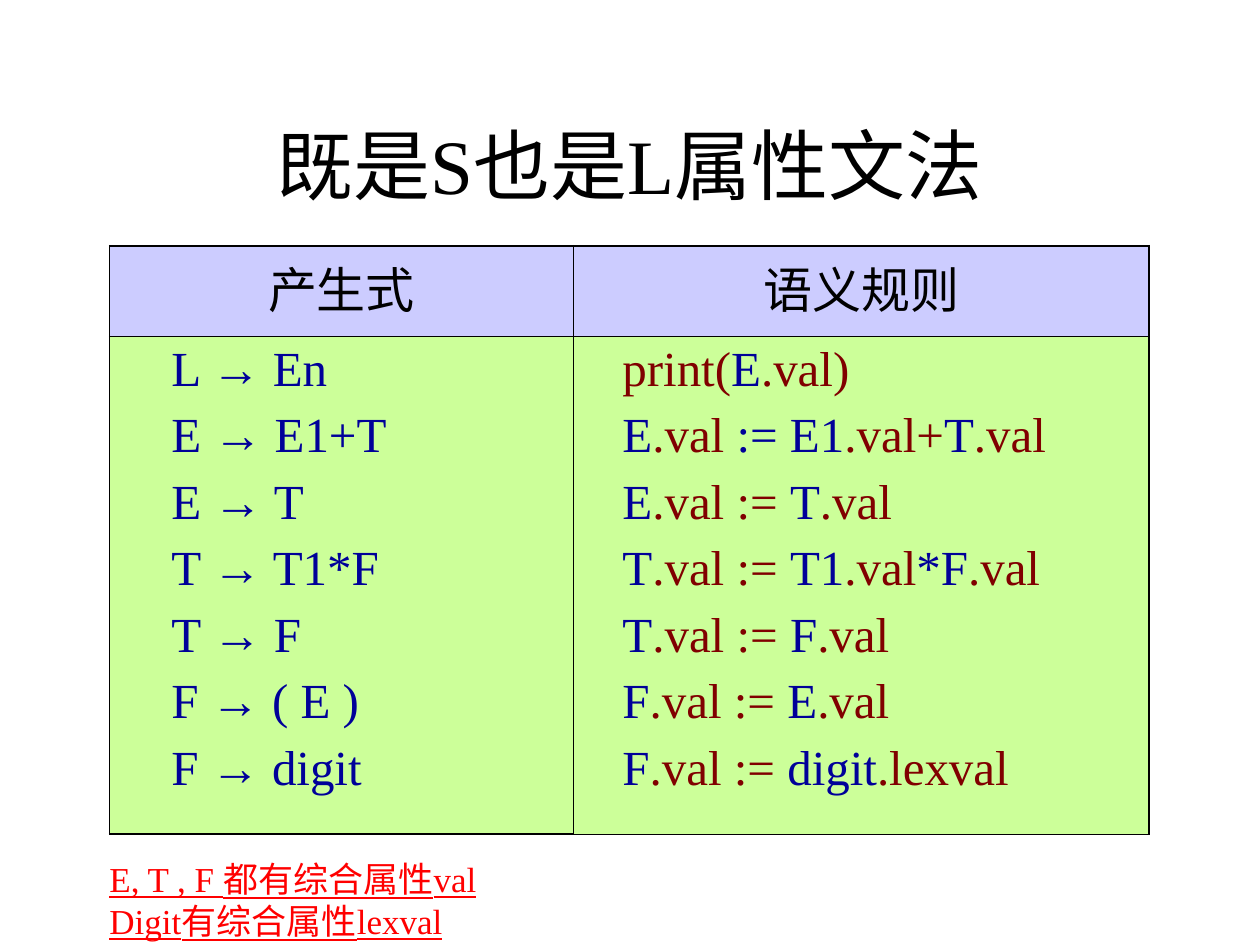
from lxml import etree
from pptx import Presentation
from pptx.dml.color import RGBColor
from pptx.enum.text import MSO_ANCHOR, PP_ALIGN
from pptx.oxml.ns import qn
from pptx.util import Inches, Pt

COLORS = {
    "black": "000000",
    "symbol": "000099",
    "attribute": "800000",
    "note": "FF0000",
    "header_fill": "CCCCFF",
    "body_fill": "CCFF99",
}
FONT = "Times New Roman"

TITLE = "既是S也是L属性文法"
HEADERS = ["产生式", "语义规则"]
PRODUCTIONS = ["L → En", "E → E1+T", "E → T", "T → T1*F", "T → F", "F → ( E )", "F → digit"]
RULES = [
    [("print(", "attribute"), ("E", "symbol"), (".val)", "attribute")],
    [("E", "symbol"), (".val ", "attribute"), (":= E1", "symbol"),
     (".val+", "attribute"), ("T", "symbol"), (".val", "attribute")],
    [("E", "symbol"), (".val := ", "attribute"), ("T", "symbol"), (".val", "attribute")],
    [("T", "symbol"), (".val := ", "attribute"), ("T1", "symbol"),
     (".val", "attribute"), ("*F", "symbol"), (".val", "attribute")],
    [("T", "symbol"), (".val := ", "attribute"), ("F", "symbol"), (".val", "attribute")],
    [("F", "symbol"), (".val := ", "attribute"), ("E", "symbol"), (".val", "attribute")],
    [("F", "symbol"), (".val := ", "attribute"), ("digit", "symbol"), (".lexval", "attribute")],
]
NOTES = ["E, T , F 都有综合属性val", "Digit有综合属性lexval"]

COLUMN_WIDTHS = [3.68, 4.57]
ROW_HEIGHTS = [0.72, 3.95]
INDENTS = [0.39, 0.29]
THIN, THICK = 0.45, 1.08
THICK_SIDES = [["LT", "TR"], ["LB", "R"]]


def one_run(texts, color):
    return [[(text, color)] for text in texts]


def write(frame, lines, size, align=PP_ALIGN.LEFT, gap=0, indent=0, underline=False):
    for index, runs in enumerate(lines):
        paragraph = frame.add_paragraph() if index else frame.paragraphs[0]
        paragraph.alignment = align
        if index and gap:
            paragraph.space_before = Pt(gap)
        if indent:
            properties = paragraph._p.get_or_add_pPr()
            properties.set("marL", str(Inches(indent)))
            properties.set("indent", "0")
        for text, color in runs:
            run = paragraph.add_run()
            run.text = text
            run.font.name = FONT
            run.font.size = Pt(size)
            run.font.color.rgb = RGBColor.from_string(COLORS[color])
            if underline:
                run.font.underline = True


def add_text(slide, left, top, width, height, wrap):
    frame = slide.shapes.add_textbox(*map(Inches, (left, top, width, height))).text_frame
    frame.word_wrap = wrap
    return frame


def set_borders(cell, thick_sides):
    properties = cell._tc.get_or_add_tcPr()
    for position, side in enumerate("LRTB"):
        width = THICK if side in thick_sides else THIN
        line = etree.Element(qn(f"a:ln{side}"), w=str(Pt(width)))
        fill = etree.SubElement(line, qn("a:solidFill"))
        etree.SubElement(fill, qn("a:srgbClr"), val=COLORS["black"])
        properties.insert(position, line)


def add_grammar_table(slide):
    table = slide.shapes.add_table(
        2, 2, Inches(0.87), Inches(1.95), Inches(sum(COLUMN_WIDTHS)), Inches(sum(ROW_HEIGHTS))
    ).table
    for column, width in zip(table.columns, COLUMN_WIDTHS):
        column.width = Inches(width)
    for row, height in zip(table.rows, ROW_HEIGHTS):
        row.height = Inches(height)

    bodies = [one_run(PRODUCTIONS, "symbol"), RULES]
    for column, (header, body, indent) in enumerate(zip(HEADERS, bodies, INDENTS)):
        write(table.cell(0, column).text_frame, one_run([header], "black"), 28, PP_ALIGN.CENTER)
        write(table.cell(1, column).text_frame, body, 28, gap=7, indent=indent)
        for row, fill in enumerate(["header_fill", "body_fill"]):
            cell = table.cell(row, column)
            cell.fill.solid()
            cell.fill.fore_color.rgb = RGBColor.from_string(COLORS[fill])
            set_borders(cell, THICK_SIDES[row][column])


def main():
    presentation = Presentation()
    presentation.slide_width = Inches(10)
    presentation.slide_height = Inches(7.5)
    slide = presentation.slides.add_slide(presentation.slide_layouts[6])

    add_grammar_table(slide)
    notes = add_text(slide, 0.77, 6.76, 3.25, 0.77, wrap=False)
    write(notes, one_run(NOTES, "note"), 20, underline=True)
    title = add_text(slide, 0.75, 0.67, 8.5, 1.25, wrap=True)
    title.vertical_anchor = MSO_ANCHOR.MIDDLE
    write(title, one_run([TITLE], "black"), 44, PP_ALIGN.CENTER)

    presentation.save("out.pptx")


if __name__ == "__main__":
    main()
